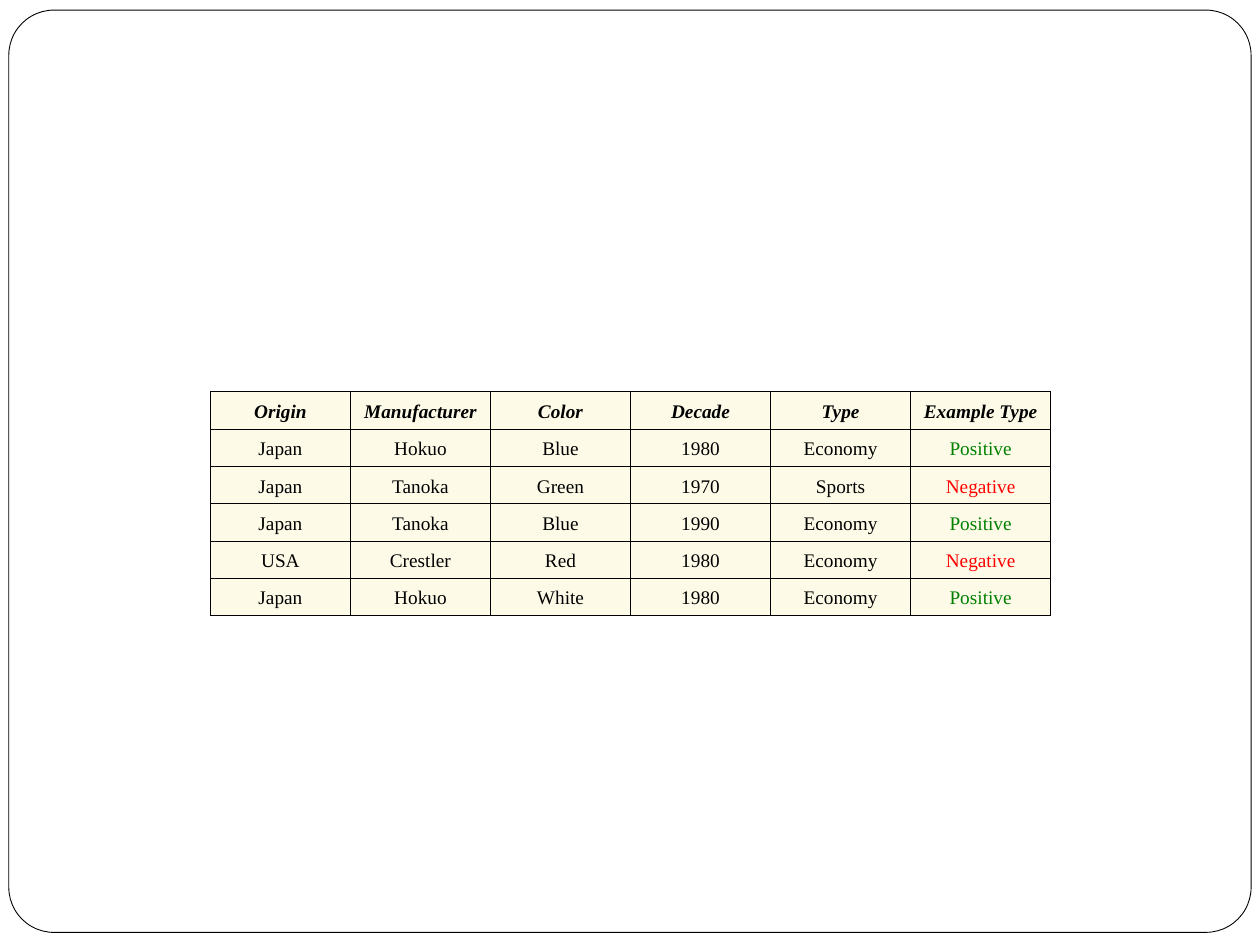
from lxml import etree
from pptx import Presentation
from pptx.dml.color import RGBColor
from pptx.enum.shapes import MSO_SHAPE
from pptx.enum.text import MSO_ANCHOR, PP_ALIGN
from pptx.oxml.ns import qn
from pptx.util import Inches, Pt

ROUNDED = MSO_SHAPE.ROUNDED_RECTANGLE
MIDDLE = MSO_ANCHOR.MIDDLE
CENTER = PP_ALIGN.CENTER
FONT = "Times New Roman"
BLACK = "000000"
CREAM = "FDFBE8"
RESULT_COLORS = {"Positive": "008000", "Negative": "FF0000"}
BORDER_SIDES = ("a:lnL", "a:lnR", "a:lnT", "a:lnB")

HEADINGS = ["Origin", "Manufacturer", "Color", "Decade", "Type", "Example Type"]
CARS = [
    ["Japan", "Hokuo", "Blue", "1980", "Economy", "Positive"],
    ["Japan", "Tanoka", "Green", "1970", "Sports", "Negative"],
    ["Japan", "Tanoka", "Blue", "1990", "Economy", "Positive"],
    ["USA", "Crestler", "Red", "1980", "Economy", "Negative"],
    ["Japan", "Hokuo", "White", "1980", "Economy", "Positive"],
]


def rgb(color):
    """Return the colour of a hex string."""
    return RGBColor.from_string(color)


def write_text(frame, text, size=11, color=BLACK, bold=False, italic=False):
    """Write one centred paragraph into a text frame."""
    paragraph = frame.paragraphs[0]
    paragraph.alignment = CENTER
    paragraph.line_spacing = 1.15
    paragraph.space_after = Pt(10)
    run = paragraph.add_run()
    run.text = text
    run.font.name = FONT
    run.font.size = Pt(size)
    run.font.bold = bold
    run.font.italic = italic
    run.font.color.rgb = rgb(color)


def add_borders(cell, color=BLACK, width=0.45):
    """Draw a thin line on all four sides of a cell."""
    properties = cell._tc.get_or_add_tcPr()
    for position, side in enumerate(BORDER_SIDES):
        border = etree.Element(qn(side), w=str(int(Pt(width))))
        fill = etree.SubElement(border, qn("a:solidFill"))
        etree.SubElement(fill, qn("a:srgbClr"), val=color)
        properties.insert(position, border)


def add_frame(slide):
    """Add the rounded outline around the slide."""
    frame = slide.shapes.add_shape(
        ROUNDED, Inches(0.07), Inches(0.08), Inches(9.86), Inches(7.32))
    frame.adjustments[0] = 0.049
    frame.shadow.inherit = False
    frame.fill.background()
    frame.line.color.rgb = rgb(BLACK)
    frame.line.width = Pt(0.5)


def add_examples(slide):
    """Add the table of training examples."""
    rows = [HEADINGS] + CARS
    table = slide.shapes.add_table(
        len(rows), len(HEADINGS), Inches(1.67), Inches(3.11),
        Inches(6.67), Inches(0.21 * len(rows))).table
    for row_index, values in enumerate(rows):
        is_heading = row_index == 0
        for column_index, value in enumerate(values):
            cell = table.cell(row_index, column_index)
            cell.vertical_anchor = MIDDLE
            cell.fill.solid()
            cell.fill.fore_color.rgb = rgb(CREAM)
            add_borders(cell)
            write_text(cell.text_frame, value, bold=is_heading, italic=is_heading,
                       color=RESULT_COLORS.get(value, BLACK))


def main():
    """Build the slide and save it."""
    presentation = Presentation()
    presentation.slide_width = Inches(10)
    presentation.slide_height = Inches(7.5)
    slide = presentation.slides.add_slide(presentation.slide_layouts[6])
    add_frame(slide)
    add_examples(slide)
    presentation.save("out.pptx")


if __name__ == "__main__":
    main()
